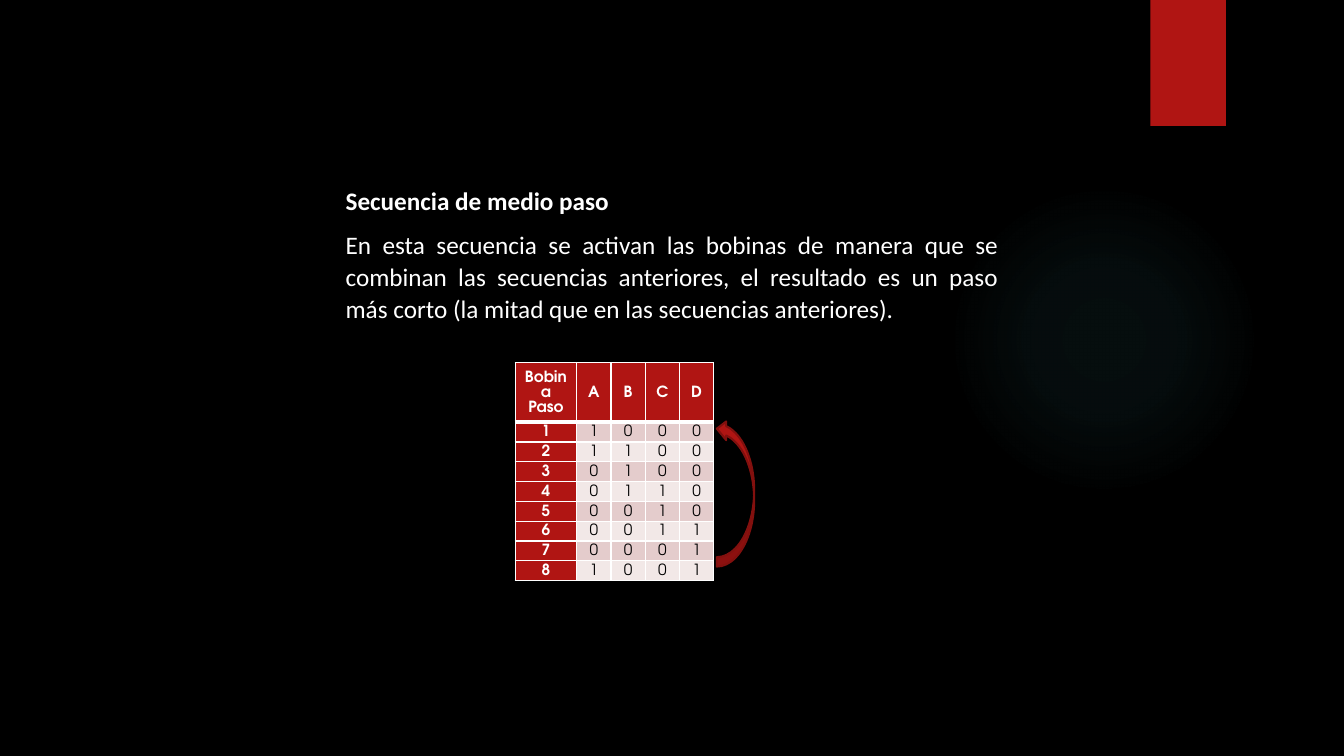
from dataclasses import dataclass

from lxml import etree
from pptx import Presentation
from pptx.dml.color import RGBColor
from pptx.enum.shapes import MSO_SHAPE as Shape
from pptx.enum.text import MSO_ANCHOR as Anchor, MSO_AUTO_SIZE as AutoSize, PP_ALIGN as Align
from pptx.oxml import parse_xml
from pptx.oxml.ns import nsdecls
from pptx.util import Inches, Pt


@dataclass(frozen=True)
class Theme:
    background: str = "000000"
    light: str = "FFFFFF"
    dark: str = "000000"
    accent: str = "B01513"
    accent_line: str = "82100E"
    glow: str = "50B9C1"
    bands: tuple = ("E4CCCC", "F2E8E7")
    body_font: str = "Calibri"
    table_font: str = "TeX Gyre Adventor"
    body_size: int = 18
    table_size: int = 11
    line_spacing: float = 1.07


THEME = Theme()
COILS = "ABCD"
STEPS = ("1000", "1100", "0100", "0110", "0010", "0011", "0001", "1001")
TITLE = "Secuencia de medio paso"
BODY = ("En esta secuencia se activan las bobinas de manera que se combinan las "
        "secuencias anteriores, el resultado es un paso más corto (la mitad que "
        "en las secuencias anteriores).")


def paint(fill, color):
    fill.solid()
    fill.fore_color.rgb = RGBColor.from_string(color)


def style(p, font, size, color, bold, align):
    p.alignment, p.line_spacing = align, THEME.line_spacing
    p.font.name, p.font.size, p.font.bold = font, Pt(size), bold
    p.font.color.rgb = RGBColor.from_string(color)


def add_plain_shape(s, kind, box, color, line=None):
    sp = s.shapes.add_shape(kind, *map(Inches, box))
    sp.shadow.inherit = False
    paint(sp.fill, color)
    if line:
        paint(sp.line.fill, line)
        sp.line.width = Pt(1.5)
    else:
        sp.line.fill.background()
    return sp


def add_glow(s, box):
    """Soft round light that fades towards its edge."""
    sp = add_plain_shape(s, Shape.OVAL, box, THEME.glow)
    stops = "".join(
        f'<a:gs pos="{pos * 1000}"><a:srgbClr val="{THEME.glow}">'
        f'<a:alpha val="{alpha * 1000}"/></a:srgbClr></a:gs>'
        for pos, alpha in ((0, 7), (36, 6), (69, 0)))
    grad = parse_xml(
        f'<a:gradFill {nsdecls("a")}><a:gsLst>{stops}</a:gsLst><a:path path="circle">'
        '<a:fillToRect l="50000" t="50000" r="50000" b="50000"/></a:path></a:gradFill>')
    solid = sp.fill._xPr.solidFill if hasattr(sp.fill._xPr, "solidFill") else \
        sp.fill._xPr.find("{*}solidFill")
    sp.fill._xPr.replace(solid, grad)


def add_explanation(s, box):
    tf = s.shapes.add_textbox(*map(Inches, box)).text_frame
    tf.word_wrap, tf.auto_size = True, AutoSize.SHAPE_TO_FIT_TEXT
    for i, text in enumerate((TITLE, BODY)):
        p = tf.add_paragraph() if i else tf.paragraphs[0]
        p.text = text
        style(p, THEME.body_font, THEME.body_size, THEME.light, i == 0, Align.JUSTIFY)
        p.space_after = Pt(8)


def set_borders(cell, bottom):
    tcPr = cell._tc.get_or_add_tcPr()
    for i, (side, width) in enumerate(zip("LRTB", (1, 1, 1, bottom))):
        tcPr.insert(i, parse_xml(
            f'<a:ln{side} {nsdecls("a")} w="{Pt(width)}"><a:solidFill>'
            f'<a:srgbClr val="{THEME.light}"/></a:solidFill></a:ln{side}>'))


def fill_cell(cell, text, row, col):
    heading = row == 0 or col == 0
    cell.text = text
    cell.vertical_anchor = Anchor.MIDDLE
    cell.margin_left = cell.margin_right = Inches(0.07)
    cell.margin_top = cell.margin_bottom = 0
    for p in cell.text_frame.paragraphs:
        style(p, THEME.table_font, THEME.table_size,
              THEME.light if heading else THEME.dark, heading, Align.CENTER)
        if row or col:
            p.space_before = Pt(10)
    paint(cell.fill, THEME.accent if heading else THEME.bands[(row - 1) % 2])
    set_borders(cell, 1 if row else 3)


def add_step_table(s, box):
    """Coil states: one row per step, one column per coil."""
    rows = [("Bobina\nPaso", *COILS)]
    rows += [(str(n), *bits) for n, bits in enumerate(STEPS, 1)]
    table = s.shapes.add_table(len(rows), len(rows[0]), *map(Inches, box)).table
    for i, col in enumerate(table.columns):
        col.width = Inches(0.34 if i else 0.61)
    for r, texts in enumerate(rows):
        table.rows[r].height = Inches(0.13 if r else 0.29)
        for c, text in enumerate(texts):
            fill_cell(table.cell(r, c), text, r, c)


def add_return_arrow(s, box):
    """Curved arrow from the last step back to the first."""
    sp = add_plain_shape(s, Shape.CURVED_RIGHT_ARROW, box, THEME.accent, THEME.accent_line)
    sp.rotation = 180


def main():
    prs = Presentation()
    prs.slide_width, prs.slide_height = Inches(13.33), Inches(7.5)
    s = prs.slides.add_slide(prs.slide_layouts[6])
    paint(s.background.fill, THEME.background)

    # Backdrop
    add_glow(s, (9.41, 1.83, 3.08, 3.08))
    add_plain_shape(s, Shape.RECTANGLE, (11.41, 0, 0.75, 1.25), THEME.accent)

    # Content
    add_explanation(s, (3.33, 1.77, 6.67, 1.5))
    add_step_table(s, (5.11, 3.6, 1.97, 1.33))
    add_return_arrow(s, (7.11, 4.16, 0.37, 1.46))
    prs.save("out.pptx")


if __name__ == "__main__":
    main()
